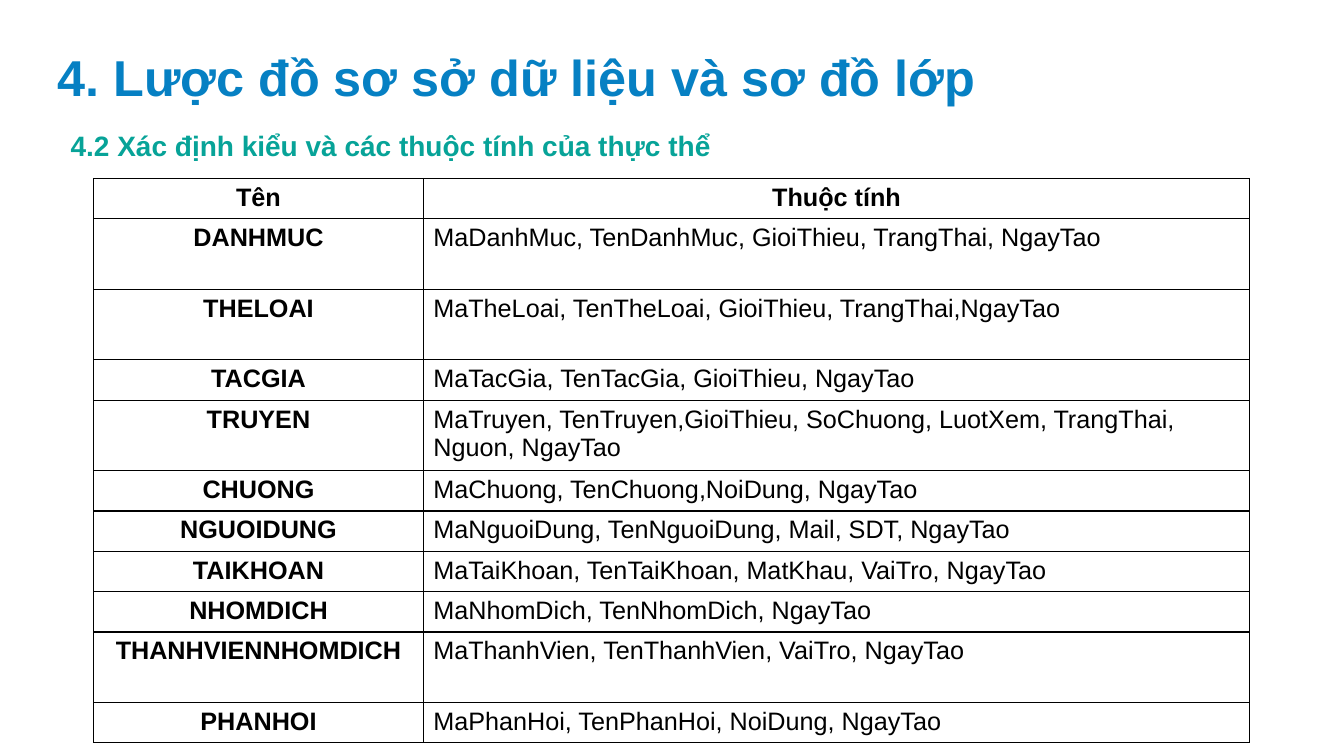
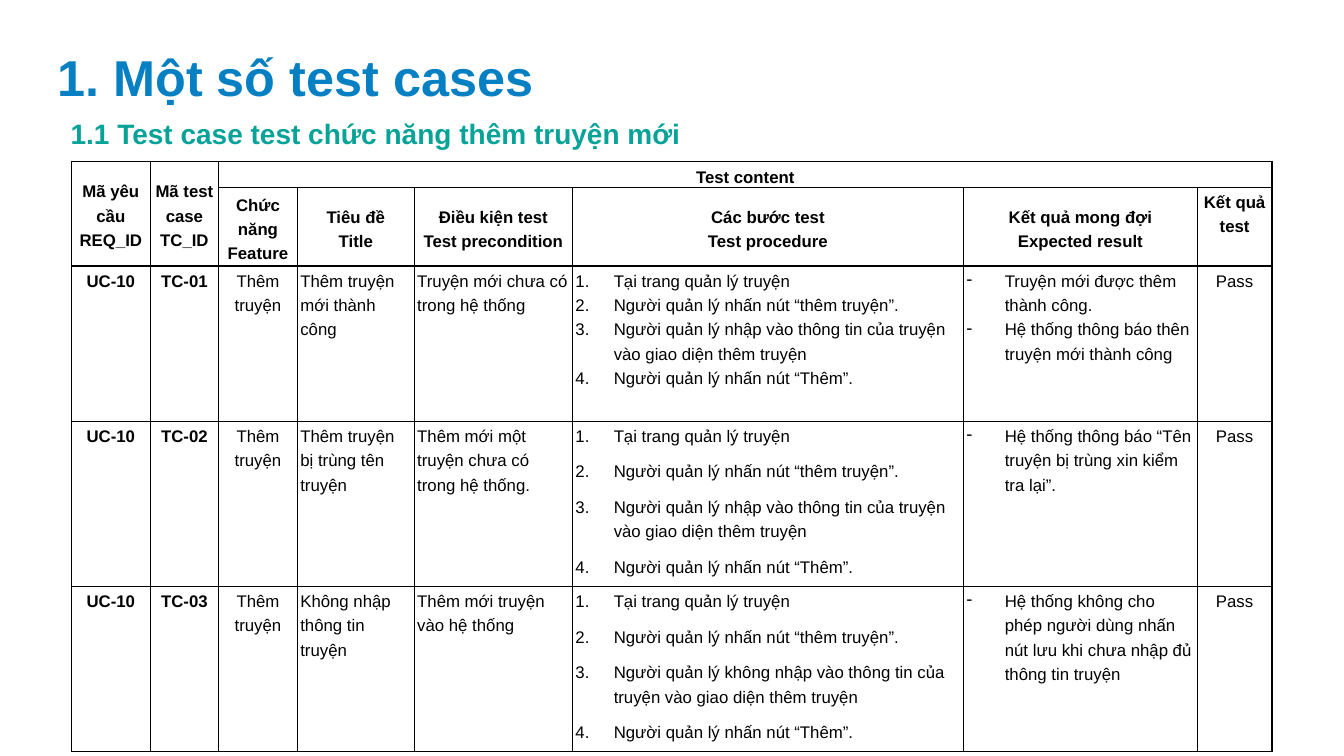
from dataclasses import dataclass
from itertools import product

from lxml.etree import SubElement
from pptx import Presentation
from pptx.dml.color import RGBColor
from pptx.enum.text import MSO_ANCHOR, MSO_AUTO_SIZE, PP_ALIGN
from pptx.oxml.ns import qn
from pptx.util import Emu, Inches, Pt


@dataclass(frozen=True)
class Theme:
    font: str = "Arial"
    blue: str = "0680C3"
    green: str = "07A398"
    ink: str = "000000"
    title: int = 36
    sub: int = 20
    text: int = 18
    small: int = 12
    line: float = 1
    indent: float = 0.38


THEME = Theme()
LEFT, MID = PP_ALIGN.LEFT, PP_ALIGN.CENTER

# Format values for paragraphs and cell margins
PLAIN = {"line_spacing": 1.0}
TIGHT = {"line_spacing": 1.3, "space_before": Pt(0), "space_after": Pt(0)}
LOOSE = {**TIGHT, "space_after": Pt(8)}
WIDE = dict(zip(("margin_left", "margin_top", "margin_right", "margin_bottom"),
                map(Inches, (0.1, 0.05, 0.1, 0.05))))
SLIM = dict(zip(WIDE, map(Inches, (0.03, 0, 0.03, 0))))

# Entity table: name, attributes, row height
SHORT, TALL = 0.4, 0.7
ITEMS = [
    ("DANHMUC", "MaDanhMuc, TenDanhMuc, GioiThieu, TrangThai, NgayTao", TALL),
    ("THELOAI", "MaTheLoai, TenTheLoai, GioiThieu, TrangThai,NgayTao", TALL),
    ("TACGIA", "MaTacGia, TenTacGia, GioiThieu, NgayTao", SHORT),
    ("TRUYEN", "MaTruyen, TenTruyen,GioiThieu, SoChuong, LuotXem, "
               "TrangThai, Nguon, NgayTao", TALL),
    ("CHUONG", "MaChuong, TenChuong,NoiDung, NgayTao", SHORT),
    ("NGUOIDUNG", "MaNguoiDung, TenNguoiDung, Mail, SDT, NgayTao", SHORT),
    ("TAIKHOAN", "MaTaiKhoan, TenTaiKhoan, MatKhau, VaiTro, NgayTao", SHORT),
    ("NHOMDICH", "MaNhomDich, TenNhomDich, NgayTao", SHORT),
    ("THANHVIENNHOMDICH", "MaThanhVien, TenThanhVien, VaiTro, NgayTao", TALL),
    ("PHANHOI", "MaPhanHoi, TenPhanHoi, NoiDung, NgayTao", SHORT),
]

# Test table: heads by column, then the cases
HEADS = [
    ["Mã yêu cầu", "REQ_ID"], ["Mã test case", "TC_ID"],
    ["Chức năng", "Feature"], ["Tiêu đề", "Title"],
    ["Điều kiện test", "Test precondition"],
    ["Các bước test", "Test procedure"],
    ["Kết quả mong đợi", "Expected result"], ["Kết quả test"],
]
ENTER = "Người quản lý nhập vào thông tin của truyện vào giao diện thêm truyện"
SKIP = "Người quản lý không nhập vào thông tin của truyện vào giao diện thêm truyện"
CASES = [
    ("Thêm truyện mới thành công", "Truyện mới chưa có trong hệ thống", ENTER,
     ["Truyện mới được thêm thành công.",
      "Hệ thống thông báo thên truyện mới thành công"], TIGHT),
    ("Thêm truyện bị trùng tên truyện",
     "Thêm mới một truyện chưa có trong hệ thống.", ENTER,
     ["Hệ thống thông báo “Tên truyện bị trùng xin kiểm tra lại”."], LOOSE),
    ("Không nhập thông tin truyện", "Thêm mới truyện vào hệ thống", SKIP,
     ["Hệ thống không cho phép người dùng nhấn nút lưu khi chưa nhập đủ "
      "thông tin truyện"], LOOSE),
]


def apply(part, look):
    for name, value in look.items():
        setattr(part, name, value)


def style(para, size, color, bold):
    apply(para.font, {"name": THEME.font, "size": Pt(size), "bold": bold})
    para.font.color.rgb = RGBColor.from_string(color)


def mark(para, kind=None, **value):
    """Set the bullet of a paragraph, with a hanging indent if it has one."""
    props = para._p.get_or_add_pPr()
    hang = Inches(THEME.indent) if kind else 0
    props.set("marL", str(hang))
    props.set("indent", str(-hang))
    bullet = SubElement(props, qn(f"a:{kind or 'buNone'}"))
    for name, text in value.items():
        bullet.set(name, text)


def head(shape, box, text, size, color, anchor):
    """Place a heading in a template placeholder."""
    apply(shape, dict(zip(("left", "top", "width", "height"), map(Inches, box))))
    frame = shape.text_frame
    frame.text = text
    apply(frame, {"word_wrap": True, "auto_size": MSO_AUTO_SIZE.NONE,
                  "vertical_anchor": anchor})
    para = frame.paragraphs[0]
    para.alignment = LEFT
    style(para, size, color, True)
    mark(para)


def page(deck, title, sub, box):
    slide = deck.slides.add_slide(deck.slide_layouts[1])
    head(slide.shapes.title, (0.47, 0.41, 10.11, 0.71), title,
         THEME.title, THEME.blue, MSO_ANCHOR.TOP)
    head(slide.placeholders[1], box, sub,
         THEME.sub, THEME.green, MSO_ANCHOR.MIDDLE)
    return slide


def frame(cell):
    """Draw all four borders and clear the fill."""
    props = cell._tc.get_or_add_tcPr()
    for side in "LRTB":
        line = SubElement(props, qn(f"a:ln{side}"), w=str(Pt(THEME.line)))
        SubElement(SubElement(line, qn("a:solidFill")),
                   qn("a:srgbClr"), val=THEME.ink)
    cell.fill.background()


def grid(slide, left, top, cols, rows, pad):
    box = slide.shapes.add_table(len(rows), len(cols), Inches(left), Inches(top),
                                 Inches(sum(cols)), Inches(sum(rows)))
    table = box.table
    apply(table, {"first_row": False, "horz_banding": False})
    for col, width in zip(table.columns, cols):
        col.width = Inches(width)
    for row, height in zip(table.rows, rows):
        row.height = Inches(height)
    for r, c in product(range(len(rows)), range(len(cols))):
        frame(table.cell(r, c))
        apply(table.cell(r, c), pad)
    return table


def write(cell, lines, size, look, bold=False, align=LEFT, bullet=None):
    """Write one paragraph per line."""
    text = cell.text_frame
    text.word_wrap = True
    for i, line in enumerate(lines):
        para = text.add_paragraph() if i else text.paragraphs[0]
        para.text = line
        apply(para, {**look, "alignment": align})
        style(para, size, THEME.ink, bold)
        if bullet:
            mark(para, **bullet)


def items(deck):
    slide = page(deck, "4. Lược đồ sơ sở dữ liệu và sơ đồ lớp",
                 "4.2 Xác định kiểu và các thuộc tính của thực thể",
                 (0.6, 1.26, 8.1, 0.36))
    rows = [("Tên", "Thuộc tính", SHORT), *ITEMS]
    table = grid(slide, 0.93, 1.77, (3.27, 8.2), [row[2] for row in rows], WIDE)
    for r, (name, attrs, _) in enumerate(rows):
        write(table.cell(r, 0), [name], THEME.text, PLAIN, True, MID)
        write(table.cell(r, 1), [attrs], THEME.text, PLAIN,
              r == 0, LEFT if r else MID)


def tests(deck):
    slide = page(deck, "1. Một số test cases",
                 "1.1 Test case test chức năng thêm truyện mới",
                 (0.6, 1.05, 8.06, 0.54))
    table = grid(slide, 0.71, 1.6,
                 (0.78, 0.68, 0.78, 1.16, 1.57, 3.88, 2.32, 0.74),
                 (0.26, 0.78, 1.54, 1.64, 1.64), SLIM)

    # Merged heads
    for c in (0, 1):
        table.cell(0, c).merge(table.cell(1, c))
    table.cell(0, 2).merge(table.cell(0, 7))
    tops = [(table.cell(0 if c < 2 else 1, c), lines)
            for c, lines in enumerate(HEADS)]
    for cell, lines in [*tops, (table.cell(0, 2), ["Test content"])]:
        write(cell, lines, THEME.small, TIGHT, True, MID)
        cell.vertical_anchor = MSO_ANCHOR.MIDDLE
    table.cell(1, 7).vertical_anchor = MSO_ANCHOR.TOP

    # Cases
    count = {"kind": "buAutoNum", "type": "arabicPeriod"}
    dash = {"kind": "buChar", "char": "-"}
    for n, (name, need, act, wants, gap) in enumerate(CASES, 1):
        steps = ["Tại trang quản lý truyện",
                 "Người quản lý nhấn nút “thêm truyện”.",
                 act, "Người quản lý nhấn nút “Thêm”."]
        parts = [
            (["UC-10"], TIGHT, True, MID),
            ([f"TC-{n:02}"], TIGHT, True, MID),
            (["Thêm truyện"], TIGHT, False, MID),
            ([name], TIGHT),
            ([need], TIGHT),
            (steps, gap, False, LEFT, count),
            (wants, TIGHT, False, LEFT, dash),
            (["Pass"], TIGHT, False, MID),
        ]
        for c, (lines, *look) in enumerate(parts):
            write(table.cell(n + 1, c), lines, THEME.small, *look)


def main():
    deck = Presentation()
    apply(deck, {"slide_width": Emu(12192000), "slide_height": Inches(7.5)})
    items(deck)
    tests(deck)
    deck.save("out.pptx")


if __name__ == "__main__":
    main()
